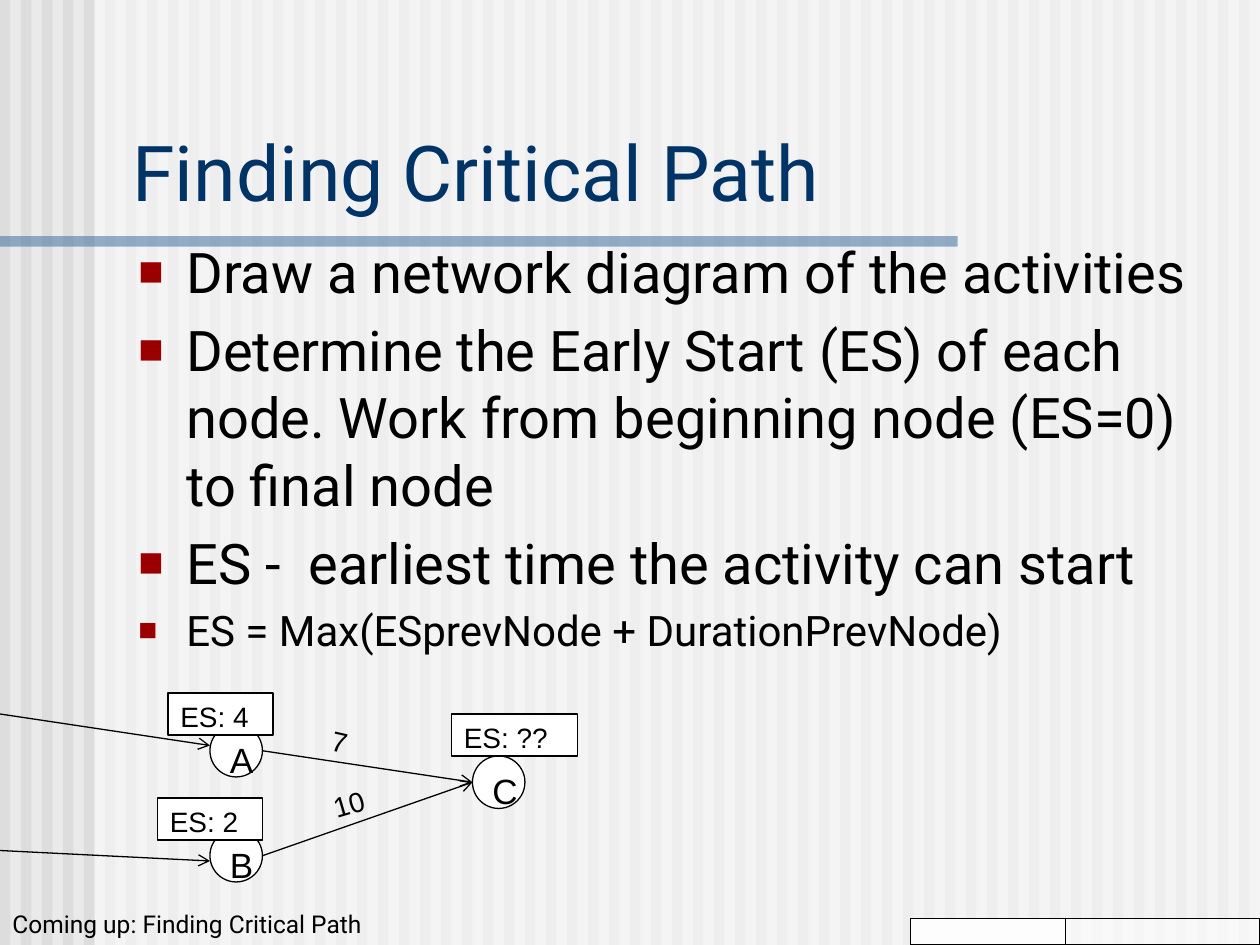
from lxml.etree import SubElement as Sub
from pptx import Presentation
from pptx.dml.color import RGBColor as RGB
from pptx.enum.shapes import MSO_CONNECTOR as Conn, MSO_SHAPE as Kind
from pptx.enum.text import MSO_ANCHOR as Anchor, PP_ALIGN as Align
from pptx.oxml.ns import qn
from pptx.util import Inches, Pt

WHITE = RGB(0xFF, 0xFF, 0xFF)
BLACK = RGB(0, 0, 0)
PAPER = RGB(0xEA, 0xEA, 0xEA)
STRIPE = RGB(0xDD, 0xDD, 0xDD)
BLUE = RGB(0x33, 0x66, 0x99)
NAVY = RGB(0x00, 0x33, 0x66)
RED = RGB(0x9A, 0, 0)

COLS, ROWS = 120, 90
UNIT = Inches(10) / COLS

POINTS = [
    ("Draw a network diagram of the activities", 32),
    ("Determine the Early Start (ES) of each node. "
     "Work from beginning node (ES=0) to final node", 32),
    ("ES -  earliest time the activity can start", 32),
    ("ES = Max(ESprevNode + DurationPrevNode)", 24),
]


def grid(*cells):
    return [round(c * UNIT) for c in cells]


def style(par, size, face, color=BLACK):
    par.alignment = Align.LEFT
    font = par.font
    font.size, font.name = Pt(size), face
    font.color.rgb = color


def write(shape, text, size, face, color=BLACK, anchor=Anchor.TOP):
    frame = shape.text_frame
    frame.word_wrap = True
    frame.vertical_anchor = anchor
    frame.text = text
    style(frame.paragraphs[0], size, face, color)


def block(slide, box, fill, alpha=100, edge=False, kind=Kind.RECTANGLE):
    shape = slide.shapes.add_shape(kind, *grid(*box))
    shape.shadow.inherit = False
    shape.fill.solid()
    shape.fill.fore_color.rgb = fill
    if alpha < 100:
        tint = shape.fill._xPr.find(".//" + qn("a:srgbClr"))
        Sub(tint, qn("a:alpha"), val=str(alpha * 1000))
    if edge:
        shape.line.color.rgb = BLACK
        shape.line.width = Pt(0.75)
    else:
        shape.line.fill.background()
    return shape


def label(slide, box, text, size, face, turn=0, anchor=Anchor.TOP):
    shape = slide.shapes.add_textbox(*grid(*box))
    shape.rotation = turn
    write(shape, text, size, face, anchor=anchor)


def arrow(slide, start, end):
    line = slide.shapes.add_connector(Conn.STRAIGHT, *grid(*start, *end))
    line.line.color.rgb = BLACK
    line.line.width = Pt(0.75)
    Sub(line.line._get_or_add_ln(), qn("a:tailEnd"), type="arrow")
    Sub(line._element.spPr, qn("a:effectLst"))


def backdrop(slide, box):
    left, top, wide, high = box
    back = slide.background.fill
    back.solid()
    back.fore_color.rgb = PAPER
    for col in range(0, wide, 2):
        block(slide, (left + col, top, 1, high), STRIPE)
    block(slide, (left + 9, top, wide - 9, high), WHITE, 50)
    block(slide, (left, top + high / 4, wide * 0.76, 1), BLUE, 50)


def heading(slide, box):
    title = slide.shapes.title
    title.left, title.top, title.width, title.height = grid(*box)
    write(title, "Finding Critical Path", 44, "Roboto", NAVY, Anchor.BOTTOM)
    slide.shapes._spTree.append(title._element)


def bullets(slide, box):
    frame = slide.shapes.add_textbox(*grid(*box)).text_frame
    frame.word_wrap = True
    for i, (text, size) in enumerate(POINTS):
        par = frame.add_paragraph() if i else frame.paragraphs[0]
        par.text = text
        par.space_before = Pt(size * 0.2 if i else 0)
        props = par._p.get_or_add_pPr()
        props.set("marL", str(Inches(0.38)))
        props.set("indent", str(-Inches(0.38)))
        Sub(Sub(props, qn("a:buClr")), qn("a:srgbClr"), val=str(RED))
        Sub(props, qn("a:buSzPct"), val="75000")
        Sub(props, qn("a:buFont"), typeface="Arial")
        Sub(props, qn("a:buChar"), char="■")
        style(par, size, "Roboto")


def network(slide, box):
    left, top, wide, high = box
    side = 5

    def spot(x, y):
        return left + x, top + y

    nodes = {"A": (20, 3), "C": (45, 6), "B": (20, 13)}
    for name, (x, y) in nodes.items():
        node = block(slide, (*spot(x, y), side, side), WHITE,
                     edge=True, kind=Kind.OVAL)
        write(node, name, 20, "Arial")
    goal = spot(45, 6 + side / 2)
    for name in "AB":
        x, y = nodes[name]
        arrow(slide, spot(x + side, y + side / 2), goal)
    arrow(slide, spot(0, 2), spot(20, 5))
    arrow(slide, spot(0, 15), spot(20, 16))
    for x, y, span, text in [(16, 0, 10, "ES: 4"), (15, 10, 10, "ES: 2"),
                             (43, 2, 12, "ES: ??")]:
        tag = block(slide, (*spot(x, y), span, 4), WHITE, edge=True)
        write(tag, text, 16, "Arial")
    for y, text, turn in [(7.7, "10", 343.7), (3.1, "7", 12.7)]:
        label(slide, (*spot(30.4, y), 10, 4), text, 16, "Arial", turn)


def footer(slide, box):
    left, top, wide, high = box
    label(slide, (left, top, wide * 0.66, high), "Coming up: Finding Critical Path",
          14, "Roboto", anchor=Anchor.BOTTOM)
    low = top + high - 2.5
    block(slide, (86.7, low, 14.8, 2.5), WHITE, 90, True)
    block(slide, (101.5, low, 18.5, 2.5), WHITE, 50, True)


def main():
    deck = Presentation()
    deck.slide_width, deck.slide_height = grid(COLS, ROWS)
    slide = deck.slides.add_slide(deck.slide_layouts[5])
    backdrop(slide, (0, 0, COLS, ROWS))
    heading(slide, (11.4, 7, 107.2, 14.25))
    bullets(slide, (12, 22, 106.4, 55))
    footer(slide, (0, 86, COLS, 4))
    network(slide, (0, 66, 55, 18))
    deck.save("out.pptx")


if __name__ == "__main__":
    main()
